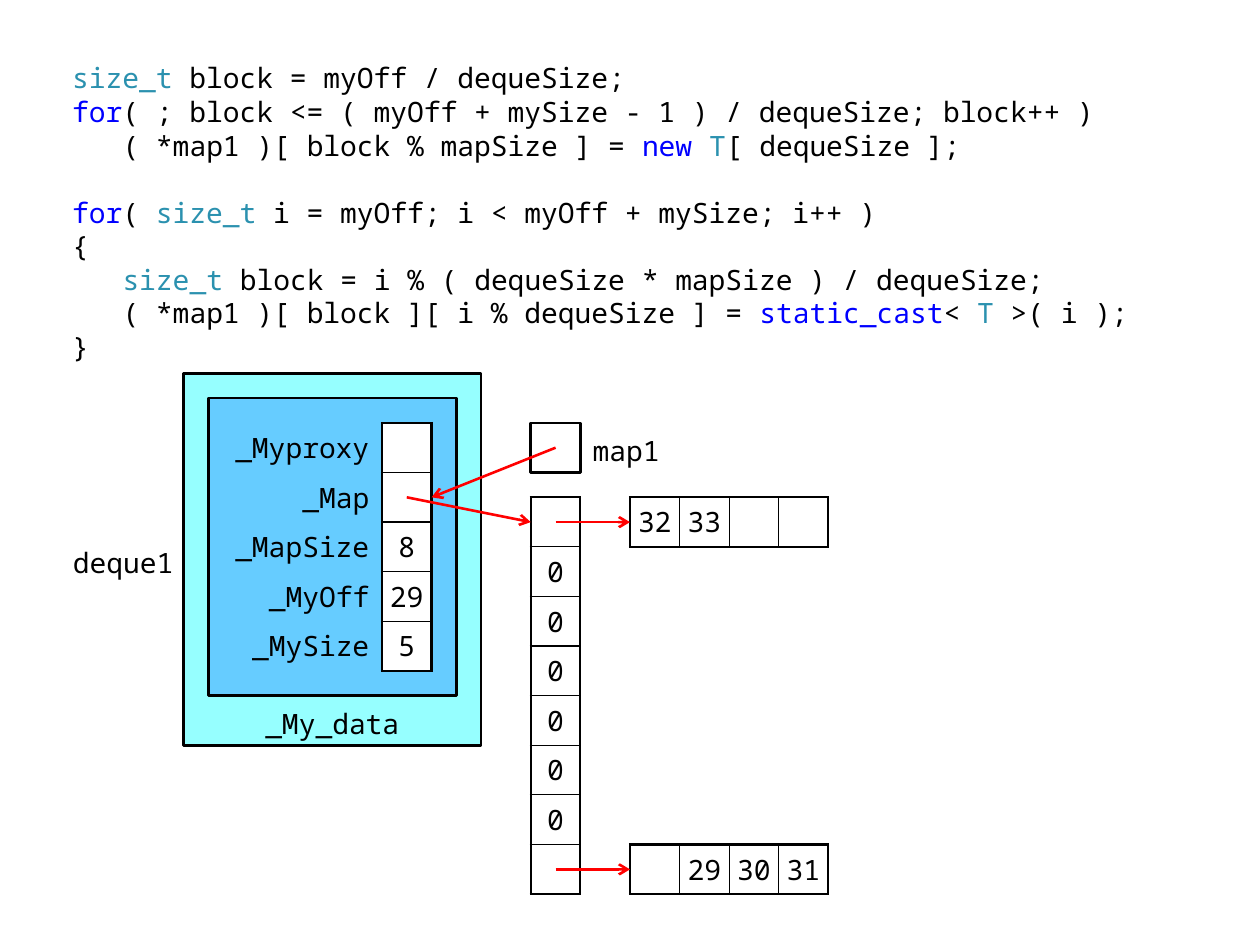
"""Build a slide that shows code filling a deque and the resulting memory layout."""
import pptx
import pptx.util
import pptx.dml.color
import pptx.enum.shapes
import pptx.enum.text
import pptx.oxml
import pptx.oxml.ns
from dataclasses import dataclass

Inches, Pt = pptx.util.Inches, pptx.util.Pt
RGB = pptx.dml.color.RGBColor.from_string
ALIGN = pptx.enum.text.PP_ALIGN
MIDDLE = pptx.enum.text.MSO_ANCHOR.MIDDLE
SHAPES = pptx.enum.shapes.MSO_SHAPE


@dataclass(frozen=True)
class Theme:
    font: str = "Noto Sans Mono"
    size: float = 16
    leading: float = 19.2
    text: str = "000000"
    keyword: str = "0000FF"
    type_name: str = "2B91AF"
    cell: str = "FFFFFF"
    object_fill: str = "96FFFF"
    data_fill: str = "66CCFF"
    arrow: str = "FF0000"
    thick: float = 1.5
    thin: float = 0.75


THEME = Theme()
CELL = 1 / 2.54
CENTRE_X, CENTRE_Y = 5, 3.75
NO_STYLE = "{2D5ABB26-0587-4C30-8999-92F81FD0307C}"
PLAIN, KEYWORD, TYPE = THEME.text, THEME.keyword, THEME.type_name

CODE = [
    (0, [("size_t", TYPE), (" block = myOff / dequeSize;", PLAIN)]),
    (0, [("for", KEYWORD), ("( ; block <= ( myOff + mySize - 1 ) / dequeSize; block++ )", PLAIN)]),
    (1, [("( *map1 )[ block % mapSize ] = ", PLAIN), ("new ", KEYWORD), ("T", TYPE),
         ("[ dequeSize ];", PLAIN)]),
    (0, [("for", KEYWORD), ("( ", PLAIN), ("size_t", TYPE),
         (" i = myOff; i < myOff + mySize; i++ )", PLAIN)]),
    (0, [("{", PLAIN)]),
    (1, [("size_t", TYPE), (" block = i % ( dequeSize * mapSize ) / dequeSize;", PLAIN)]),
    (1, [("( *map1 )[ block ][ i % dequeSize ] = ", PLAIN), ("static_cast", KEYWORD),
         ("< ", PLAIN), ("T", TYPE), (" >( i );", PLAIN)]),
    (0, [("}", PLAIN)]),
]
SECOND_LOOP = 3

BOXES = [
    (SHAPES.FLOWCHART_PROCESS, -9, -2, 6, 7.5, THEME.object_fill),
    (SHAPES.FLOWCHART_PROCESS, -8.5, -1.5, 5, 6, THEME.data_fill),
    (SHAPES.RECTANGLE, -2, -1, 1, 1, THEME.cell),
]
LABELS = [
    ("deque1", -11.5, 1, 2.5, 1.5, ALIGN.RIGHT, 0.08),
    ("_My_data", -7.5, 4.5, 3, 1, ALIGN.CENTER, 0.04),
    ("map1", -1, -1, 2, 1, ALIGN.LEFT, 0.1),
]
FIELDS = [["_Myproxy", ""], ["_Map", ""], ["_MapSize", "8"], ["_MyOff", "29"], ["_MySize", "5"]]
BLOCK_MAP = [[value] for value in ["", *["0"] * 6, ""]]
TABLES = [
    (FIELDS, -8.5, -1, [3.5, 1], 1),
    (BLOCK_MAP, -2, 0.5, [1], 0),
    ([["32", "33", "", ""]], 0, 0.5, [1] * 4, 0),
    ([["", "29", "30", "31"]], 0, 7.5, [1] * 4, 0),
]
ARROWS = [
    ((-4.5, 0.5), (-2, 1)),
    ((-1.5, -0.5), (-4, 0.5)),
    ((-1.5, 1), (0, 1)),
    ((-1.5, 8), (0, 8)),
]


def point(column, row):
    return Inches(CENTRE_X + column * CELL), Inches(CENTRE_Y + row * CELL)


def area(column, row, width, height):
    return *point(column, row), Inches(width * CELL), Inches(height * CELL)


def style(font, colour=THEME.text):
    font.name, font.size = THEME.font, Pt(THEME.size)
    font.color.rgb = RGB(colour)


def write(frame, text, align):
    frame.text = text
    line = frame.paragraphs[0]
    line.alignment = align
    for run in line.runs:
        style(run.font)


def add_code(body):
    body.left, body.top, body.width, body.height = area(-11.5, -8.5, 23, 6.5)
    frame = body.text_frame
    frame.vertical_anchor = MIDDLE
    frame.auto_size = pptx.enum.text.MSO_AUTO_SIZE.NONE
    for number, (depth, tokens) in enumerate(CODE):
        line = frame.add_paragraph() if number else frame.paragraphs[0]
        line.line_spacing = Pt(THEME.leading)
        line.space_before = Pt(THEME.leading if number == SECOND_LOOP else 0)
        line.space_after = Pt(0)
        properties = line._p.get_or_add_pPr()
        properties.set("marL", str(Inches(0.4 * depth)))
        properties.set("indent", "0")
        pptx.oxml.ns.qn("a:buNone")
        properties.append(pptx.oxml.parse_xml(
            f'<a:buNone {pptx.oxml.ns.nsdecls("a")}/>'))
        for text, colour in tokens:
            run = line.add_run()
            run.text = text
            style(run.font, colour)


def add_box(shapes, kind, column, row, width, height, fill):
    box = shapes.add_shape(kind, *area(column, row, width, height))
    box.shadow.inherit = False
    box.fill.solid()
    box.fill.fore_color.rgb = RGB(fill)
    box.line.color.rgb = RGB(THEME.text)
    box.line.width = Pt(THEME.thick)


def add_label(shapes, text, column, row, width, height, align, inset):
    frame = shapes.add_textbox(*area(column, row, width, height)).text_frame
    frame.word_wrap = True
    frame.vertical_anchor = MIDDLE
    frame.margin_left = frame.margin_right = Inches(inset)
    frame.margin_top, frame.margin_bottom = Inches(0.04), 0
    write(frame, text, align)


def add_border(cell, side, outer):
    width = Pt(THEME.thick if outer else THEME.thin)
    cell._tc.get_or_add_tcPr().append(pptx.oxml.parse_xml(
        f'<a:ln{side} {pptx.oxml.ns.nsdecls("a")} w="{width}"><a:solidFill>'
        f'<a:srgbClr val="{THEME.text}"/></a:solidFill></a:ln{side}>'))


def add_table(shapes, rows, column, row, widths, name_columns):
    frame = shapes.add_table(len(rows), len(widths), *area(column, row, sum(widths), len(rows)))
    table = frame.table
    table.first_row = table.horz_banding = False
    table._tbl.tblPr.find(pptx.oxml.ns.qn("a:tableStyleId")).text = NO_STYLE
    for table_column, width in zip(table.columns, widths):
        table_column.width = Inches(width * CELL)
    for r, values in enumerate(rows):
        table.rows[r].height = Inches(CELL)
        for c, value in enumerate(values):
            cell = table.cell(r, c)
            is_name = c < name_columns
            cell.vertical_anchor = MIDDLE
            cell.margin_left = cell.margin_right = Inches(0.1 if is_name else 0.04)
            cell.margin_top = cell.margin_bottom = Inches(0.04)
            write(cell.text_frame, value, ALIGN.RIGHT if is_name else ALIGN.CENTER)
            if is_name:
                cell.fill.background()
                continue
            add_border(cell, "L", c == name_columns)
            add_border(cell, "R", c == len(widths) - 1)
            add_border(cell, "T", r == 0)
            add_border(cell, "B", r == len(rows) - 1)
            cell.fill.solid()
            cell.fill.fore_color.rgb = RGB(THEME.cell)


def add_arrow(shapes, start, end):
    arrow = shapes.add_connector(
        pptx.enum.shapes.MSO_CONNECTOR.STRAIGHT, *point(*start), *point(*end))
    arrow.line.color.rgb = RGB(THEME.arrow)
    arrow.line.width = Pt(THEME.thick)
    namespace = pptx.oxml.ns.nsdecls("a")
    arrow.line._get_or_add_ln().append(
        pptx.oxml.parse_xml(f'<a:tailEnd {namespace} type="arrow"/>'))
    arrow._element.spPr.append(pptx.oxml.parse_xml(f"<a:effectLst {namespace}/>"))


def main():
    deck = pptx.Presentation()
    deck.slide_width, deck.slide_height = Inches(10), Inches(7.5)
    slide = deck.slides.add_slide(deck.slide_layouts[1])
    title = slide.shapes.title._element
    title.getparent().remove(title)
    add_code(slide.placeholders[1])
    for add, parts in ((add_box, BOXES), (add_label, LABELS),
                       (add_table, TABLES), (add_arrow, ARROWS)):
        for part in parts:
            add(slide.shapes, *part)
    deck.save("out.pptx")


if __name__ == "__main__":
    main()
